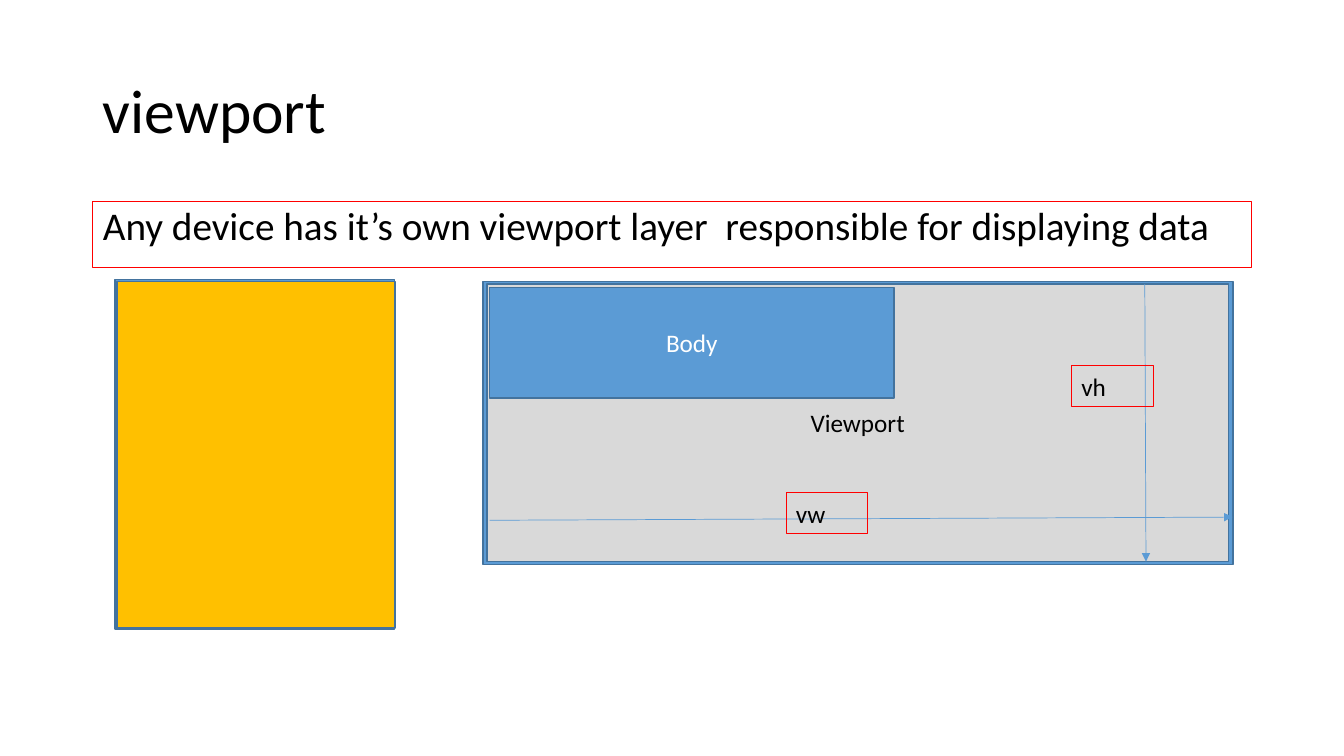
from dataclasses import dataclass
from typing import Any

from lxml.etree import SubElement
from pptx import Presentation
from pptx.dml.color import RGBColor
from pptx.enum.shapes import MSO_CONNECTOR, MSO_SHAPE
from pptx.enum.text import MSO_ANCHOR, MSO_AUTO_SIZE, PP_ALIGN
from pptx.oxml.ns import qn
from pptx.util import Cm, Pt

BLUE, EDGE, RED, BLACK = "5B9BD5", "43739E", "FF0000", "000000"


@dataclass
class Box:
    left: float
    top: float
    width: float
    height: float
    fill: str
    text: str = ""
    ink: str = BLACK


@dataclass
class Tag:
    left: float
    top: float
    text: str


@dataclass
class Arrow:
    x1: float
    y1: float
    x2: float
    y2: float


BOXES = [
    Box(2.9, 7.04, 7.04, 8.81, BLUE),
    Box(2.95, 7.09, 7.01, 8.74, "FFC000"),
    Box(12.17, 7.09, 18.9, 7.14, BLUE),
    Box(12.27, 7.16, 18.69, 6.99, "D9D9D9", "Viewport"),
    Box(12.34, 7.24, 10.19, 2.79, BLUE, "Body", "FFFFFF"),
]
ARROWS = [Arrow(12.34, 13.11, 31.06, 13.03), Arrow(28.85, 7.16, 28.88, 14.15)]
TAGS = [Tag(19.81, 12.42, "vw"), Tag(27, 9.22, "vh")]

TITLE = {"left": Cm(2.34), "top": Cm(1.02), "width": Cm(29.21), "height": Cm(3.68)}
LEAD = {"left": Cm(2.34), "top": Cm(5.08), "width": Cm(29.21), "height": Cm(1.65)}
FIXED = {"word_wrap": True, "auto_size": MSO_AUTO_SIZE.NONE}
MIDDLE = FIXED | {"vertical_anchor": MSO_ANCHOR.MIDDLE}
UPPER = FIXED | {"vertical_anchor": MSO_ANCHOR.TOP}
GROW = UPPER | {"auto_size": MSO_AUTO_SIZE.SHAPE_TO_FIT_TEXT}
CENTRE = {"alignment": PP_ALIGN.CENTER}
START = {"alignment": PP_ALIGN.LEFT}
TIGHT = START | {"line_spacing": 0.9, "space_before": Pt(0)}
SPACED = TIGHT | {"space_before": Pt(10)}


def rgb(code: str) -> RGBColor:
    return RGBColor.from_string(code)


def apply(target: Any, values: dict[str, Any]) -> None:
    for name, value in values.items():
        setattr(target, name, value)


def write(shape: Any, text: str, size: int, ink: str, frame: dict, para: dict) -> None:
    apply(shape.text_frame, frame)
    line = shape.text_frame.paragraphs[0]
    apply(line, para)
    run = line.add_run()
    run.text = text
    apply(run.font, {"name": "Calibri", "size": Pt(size)})
    run.font.color.rgb = rgb(ink)


def stroke(shape: Any, code: str, width: float) -> None:
    shape.line.color.rgb = rgb(code)
    shape.line.width = Pt(width)


def draw_box(slide: Any, box: Box) -> None:
    place = map(Cm, (box.left, box.top, box.width, box.height))
    shape = slide.shapes.add_shape(MSO_SHAPE.RECTANGLE, *place)
    shape.shadow.inherit = False
    shape.fill.solid()
    shape.fill.fore_color.rgb = rgb(box.fill)
    stroke(shape, EDGE, 1)
    if box.text:
        write(shape, box.text, 18, box.ink, MIDDLE, CENTRE)


def draw_arrow(slide: Any, arrow: Arrow) -> None:
    ends = map(Cm, (arrow.x1, arrow.y1, arrow.x2, arrow.y2))
    line = slide.shapes.add_connector(MSO_CONNECTOR.STRAIGHT, *ends)
    stroke(line, BLUE, 0.5)
    SubElement(line.line._get_or_add_ln(), qn("a:tailEnd"), type="triangle")
    SubElement(line._element.spPr, qn("a:effectLst"))


def draw_tag(slide: Any, tag: Tag) -> None:
    shape = slide.shapes.add_textbox(Cm(tag.left), Cm(tag.top), Cm(2.06), Cm(1.02))
    stroke(shape, RED, 0.75)
    write(shape, tag.text, 18, BLACK, GROW, START)


def main() -> None:
    deck = Presentation()
    apply(deck, {"slide_width": Cm(33.87), "slide_height": Cm(19.05)})
    slide = deck.slides.add_slide(deck.slide_layouts[1])

    title = slide.shapes.title
    apply(title, TITLE)
    write(title, "viewport", 44, BLACK, MIDDLE, TIGHT)

    lead = slide.placeholders[1]
    apply(lead, LEAD)
    stroke(lead, RED, 0.75)
    words = "Any device has it’s own viewport layer  responsible for displaying data"
    write(lead, words, 28, BLACK, UPPER, SPACED)
    props = lead.text_frame.paragraphs[0]._p.get_or_add_pPr()
    for name in ("marL", "indent"):
        props.set(name, "0")
    SubElement(props, qn("a:buNone"))

    for box in BOXES:
        draw_box(slide, box)
    for arrow in ARROWS:
        draw_arrow(slide, arrow)
    for tag in TAGS:
        draw_tag(slide, tag)
    deck.save("out.pptx")


if __name__ == "__main__":
    main()
